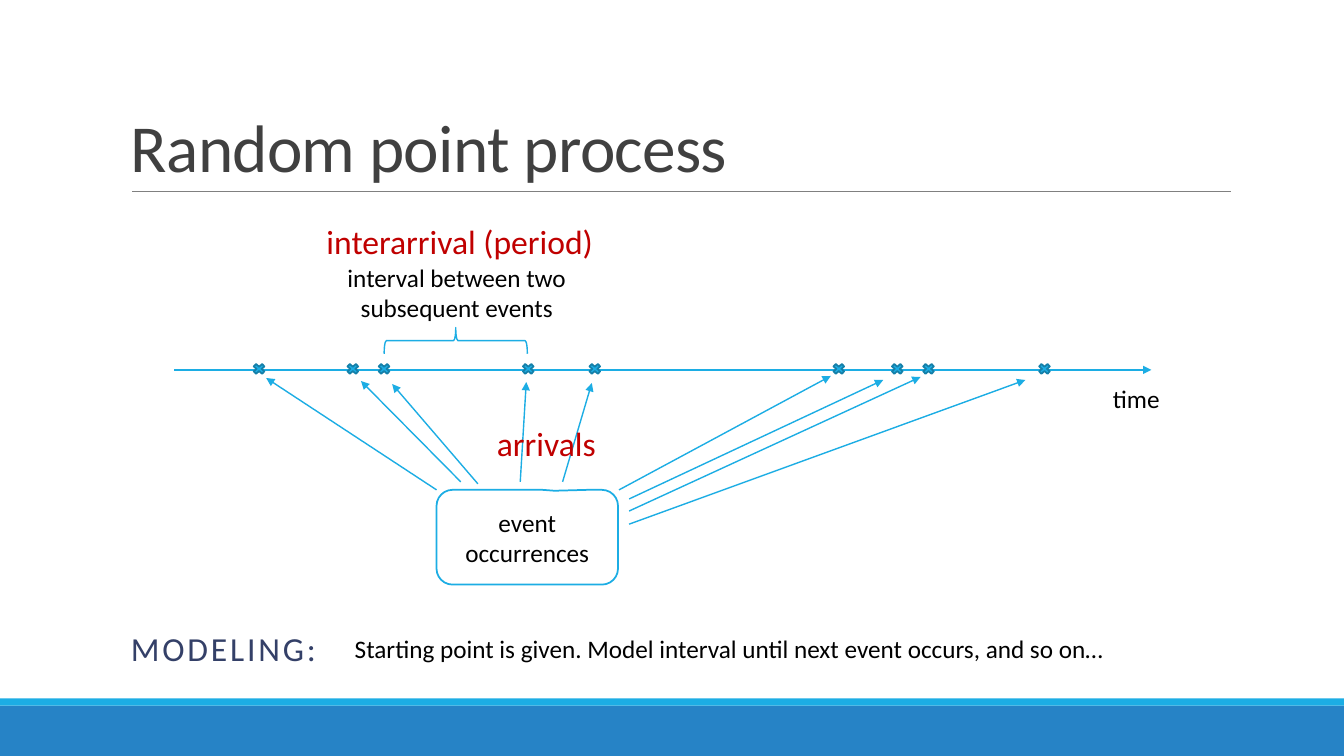
from lxml import etree
from pptx import Presentation
from pptx import util as u
from pptx.dml.color import RGBColor
from pptx.enum import shapes, text
from pptx.oxml import ns

HUES = {
    "band": "2683C6", "sky": "1CADE4", "edge": "1580A9", "rule": "808080",
    "title": "404040", "black": "000000", "red": "C00000", "navy": "344068",
    "white": "FFFFFF",
}
FONT = "Calibri"
KIND = shapes.MSO_SHAPE
ALIGN = text.PP_ALIGN
ANCHOR = text.MSO_ANCHOR


def hue(name):
    return RGBColor.from_string(HUES[name])


def box(at):
    return [u.Inches(n) for n in at]


def add_run(para, words, size, color, track=0):
    run = para.add_run()
    run.text = words
    run.font.name = FONT
    run.font.size = u.Pt(size)
    run.font.color.rgb = hue(color)
    if track:
        run.font._element.set("spc", str(track))


def add_shape(slide, kind, at, fill=None, line=None, width=1.25):
    item = slide.shapes.add_shape(kind, *box(at))
    item.shadow.inherit = False
    if fill:
        item.fill.solid()
        item.fill.fore_color.rgb = hue(fill)
    else:
        item.fill.background()
    if line:
        item.line.color.rgb = hue(line)
        item.line.width = u.Pt(width)
    else:
        item.line.fill.background()
    return item


def add_line(slide, start, end, color="sky", width=1, arrow=True):
    item = slide.shapes.add_connector(
        shapes.MSO_CONNECTOR.STRAIGHT, *box(start + end))
    item.line.color.rgb = hue(color)
    item.line.width = u.Pt(width)
    if arrow:
        edge = item.line._get_or_add_ln()
        etree.SubElement(edge, ns.qn("a:tailEnd"), type="triangle")
    etree.SubElement(item._element.spPr, ns.qn("a:effectLst"))


def add_text(slide, at, words, size=18, color="black", wrap=False,
             grow=True, align=ALIGN.LEFT, track=0):
    frame = slide.shapes.add_textbox(*box(at)).text_frame
    frame.word_wrap = wrap
    if grow:
        frame.auto_size = text.MSO_AUTO_SIZE.SHAPE_TO_FIT_TEXT
    para = frame.paragraphs[0]
    para.alignment = align
    add_run(para, words, size, color, track)
    return frame


def add_frame(slide):
    # Footer bands, title and rule
    add_shape(slide, KIND.RECTANGLE, (0, 7, 13.33, 0.5), "band")
    add_shape(slide, KIND.RECTANGLE, (0, 6.93, 13.33, 0.07), "sky")
    add_line(slide, (1.31, 1.9), (12.21, 1.9), "rule", 0.5, arrow=False)
    title = add_text(slide, (1.2, 0.31, 11, 1.59), "Random point process",
                     48, "title", wrap=True, grow=False, track=-50)
    title.vertical_anchor = ANCHOR.BOTTOM
    title.paragraphs[0].line_spacing = 0.85


def add_axis(slide):
    # Time axis with one cross for each event
    add_line(slide, (1.73, 3.67), (11.42, 3.67))
    add_text(slide, (10.94, 3.75, 0.67, 0.4), "time")
    for left in (2.49, 3.42, 3.73, 5.16, 5.82, 8.24, 8.82, 9.13, 10.28):
        add_shape(slide, KIND.MATH_MULTIPLY, (left, 3.59, 0.16, 0.14),
                  "sky", "edge")


def add_events(slide):
    # Source of events and its arrows to the axis
    call = add_shape(slide, KIND.ROUNDED_RECTANGULAR_CALLOUT,
                     (4.33, 4.86, 1.8, 0.94), "white", "sky")
    for spot, value in enumerate((0.15, -0.49, 0.17)):
        call.adjustments[spot] = value
    frame = call.text_frame
    frame.vertical_anchor = ANCHOR.MIDDLE
    para = frame.paragraphs[0]
    para.alignment = ALIGN.CENTER
    add_run(para, "event occurrences", 18, "black")
    arrows = (
        ((4.33, 4.86), (2.64, 3.75)), ((4.57, 4.78), (3.58, 3.78)),
        ((4.74, 4.8), (3.89, 3.81)), ((5.16, 4.78), (5.22, 3.79)),
        ((5.58, 4.78), (5.87, 3.8)), ((6.14, 4.86), (8.24, 3.73)),
        ((6.24, 4.95), (8.76, 3.77)), ((6.24, 5.07), (9.13, 3.74)),
        ((6.24, 5.2), (10.17, 3.77)),
    )
    for start, end in arrows:
        add_line(slide, start, end)


def add_notes(slide):
    # Brace, labels and modeling line
    brace = add_shape(slide, KIND.LEFT_BRACE, (4.39, 2.67, 0.26, 1.42),
                      line="sky", width=1)
    brace.rotation = 90
    add_text(slide, (3.24, 2.55, 2.58, 0.71),
             "interval between two subsequent events",
             wrap=True, align=ALIGN.CENTER)
    model = add_text(slide, (1.2, 6.23, 2.29, 0.6), "MODELING:", 24, "navy",
                     wrap=True, grow=False, track=200)
    model.margin_right = 0
    para = model.paragraphs[0]
    para.line_spacing = 0.9
    para.space_before = u.Pt(12)
    para.space_after = u.Pt(2)
    add_text(slide, (3.42, 6.23, 7.67, 0.4),
             "Starting point is given. Model interval until next event "
             "occurs, and so on…")
    add_text(slide, (4.83, 4.15, 1.19, 0.5), "arrivals", 24, "red")
    add_text(slide, (3.14, 2.14, 2.87, 0.5), "interarrival (period)",
             24, "red")


def main():
    deck = Presentation()
    deck.slide_width = u.Inches(13.33)
    deck.slide_height = u.Inches(7.5)
    slide = deck.slides.add_slide(deck.slide_layouts[6])
    add_frame(slide)
    add_axis(slide)
    add_events(slide)
    add_notes(slide)
    deck.save("out.pptx")


if __name__ == "__main__":
    main()
